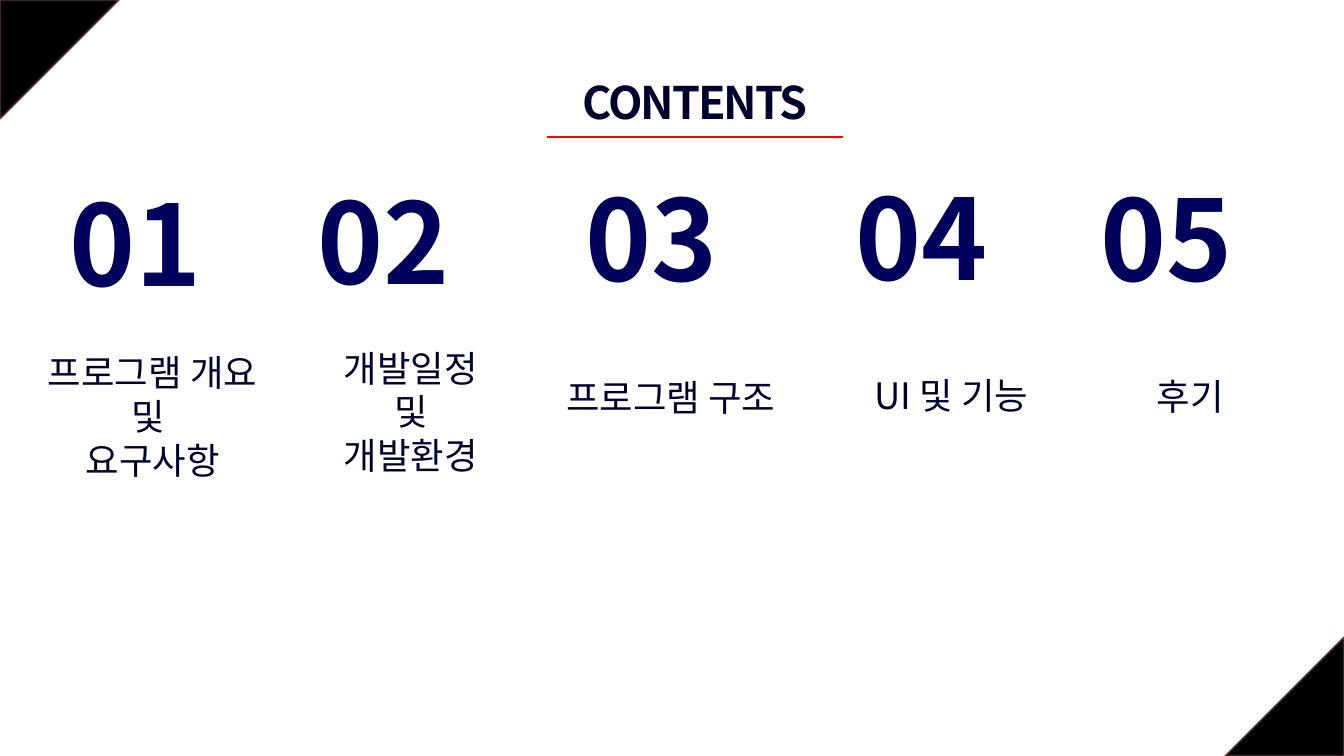
"""Build a contents slide with five numbered topics."""
from pptx import Presentation
from pptx.dml.color import RGBColor
from pptx.enum.shapes import MSO_CONNECTOR, MSO_SHAPE
from pptx.enum.text import MSO_ANCHOR, MSO_AUTO_SIZE, PP_ALIGN
from pptx.oxml.ns import qn
from pptx.util import Inches, Pt
from lxml.etree import SubElement

WHITE = RGBColor(0xFF, 0xFF, 0xFF)
BLACK = RGBColor(0x00, 0x00, 0x00)
BROWN = RGBColor(0x5B, 0x3F, 0x33)
RED = RGBColor(0xFF, 0x00, 0x00)
NAVY = RGBColor(0x00, 0x00, 0x5C)
INK = RGBColor(0x00, 0x00, 0x2F)
FONT = "Noto Sans CJK KR"

CORNERS = [(0, 0, 90), (12.15, 6.32, 270)]
TOPICS = [
    ("01", (0.59, 1.68, 1.53, 1.45), "프로그램 개요\n및 \n요구사항", (0.28, 3.35, 2.47, 1.55)),
    ("02", (3.05, 1.66, 1.75, 1.45), "개발일정\n및\n개발환경", (2.87, 3.47, 2.41, 1.22)),
    ("03", (5.71, 1.63, 1.76, 1.45), "프로그램 구조", (5.45, 3.33, 2.41, 1.22)),
    ("04", (8.39, 1.62, 1.8, 1.45), "UI 및 기능", (8.23, 3.31, 2.41, 1.22)),
    ("05", (10.82, 1.63, 1.77, 1.45), "후기", (10.6, 3.32, 2.41, 1.22)),
]


def write_text(shape, text, size, color, bold=False, align=PP_ALIGN.LEFT,
               anchor=MSO_ANCHOR.TOP, wrap=False, spacing=None):
    frame = shape.text_frame
    frame.text = text
    frame.word_wrap = wrap
    frame.auto_size = MSO_AUTO_SIZE.NONE if wrap else MSO_AUTO_SIZE.SHAPE_TO_FIT_TEXT
    frame.vertical_anchor = anchor
    for paragraph in frame.paragraphs:
        paragraph.alignment = align
        for run in paragraph.runs:
            run.font.size = Pt(size)
            run.font.bold = bold
            run.font.color.rgb = color
            run.font.name = FONT
            properties = run._r.get_or_add_rPr()
            SubElement(properties, qn("a:ea"), typeface=FONT)
            if spacing is not None:
                properties.set("spc", str(int(spacing * 100)))


class ContentsSlide:
    def __init__(self, presentation):
        self.slide = presentation.slides.add_slide(presentation.slide_layouts[5])
        self.shapes = self.slide.shapes

    def add_shape(self, kind, box, fill, line):
        shape = self.shapes.add_shape(kind, *map(Inches, box))
        shape.shadow.inherit = False
        shape.fill.solid()
        shape.fill.fore_color.rgb = fill
        shape.line.color.rgb = line
        shape.line.width = Pt(1)
        return shape

    def add_corner(self, left, top, rotation):
        box = (left, top, 1.18, 1.18)
        corner = self.add_shape(MSO_SHAPE.RIGHT_TRIANGLE, box, BLACK, BROWN)
        corner.rotation = rotation

    def add_title(self, text, box):
        title = self.shapes.title
        title.left, title.top, title.width, title.height = map(Inches, box)
        write_text(title, text, 32, INK, bold=True, align=PP_ALIGN.CENTER, spacing=-1.5)

    def add_rule(self, left, right, top):
        rule = self.shapes.add_connector(
            MSO_CONNECTOR.STRAIGHT, Inches(left), Inches(top), Inches(right), Inches(top))
        rule.line.color.rgb = RED
        rule.line.width = Pt(1.75)
        SubElement(rule._element.spPr, qn("a:effectLst"))

    def add_number(self, text, box):
        number = self.shapes.add_textbox(*map(Inches, box))
        write_text(number, text, 80, NAVY, bold=True)

    def add_label(self, text, box):
        label = self.add_shape(MSO_SHAPE.RECTANGLE, box, WHITE, WHITE)
        color = label._element.spPr.find(qn("a:solidFill"))[0]
        SubElement(color, qn("a:alpha"), val="80000")
        write_text(label, text, 26, INK, align=PP_ALIGN.CENTER,
                   anchor=MSO_ANCHOR.MIDDLE, wrap=True)


def main():
    presentation = Presentation()
    presentation.slide_width = Inches(13.33)
    presentation.slide_height = Inches(7.5)
    contents = ContentsSlide(presentation)
    for corner in CORNERS:
        contents.add_corner(*corner)
    contents.add_title("CONTENTS", (5.48, 0.69, 2.83, 0.64))
    contents.add_rule(5.43, 8.36, 1.36)
    for number, number_box, label, label_box in TOPICS:
        contents.add_label(label, label_box)
        contents.add_number(number, number_box)
    presentation.save("out.pptx")


if __name__ == "__main__":
    main()
